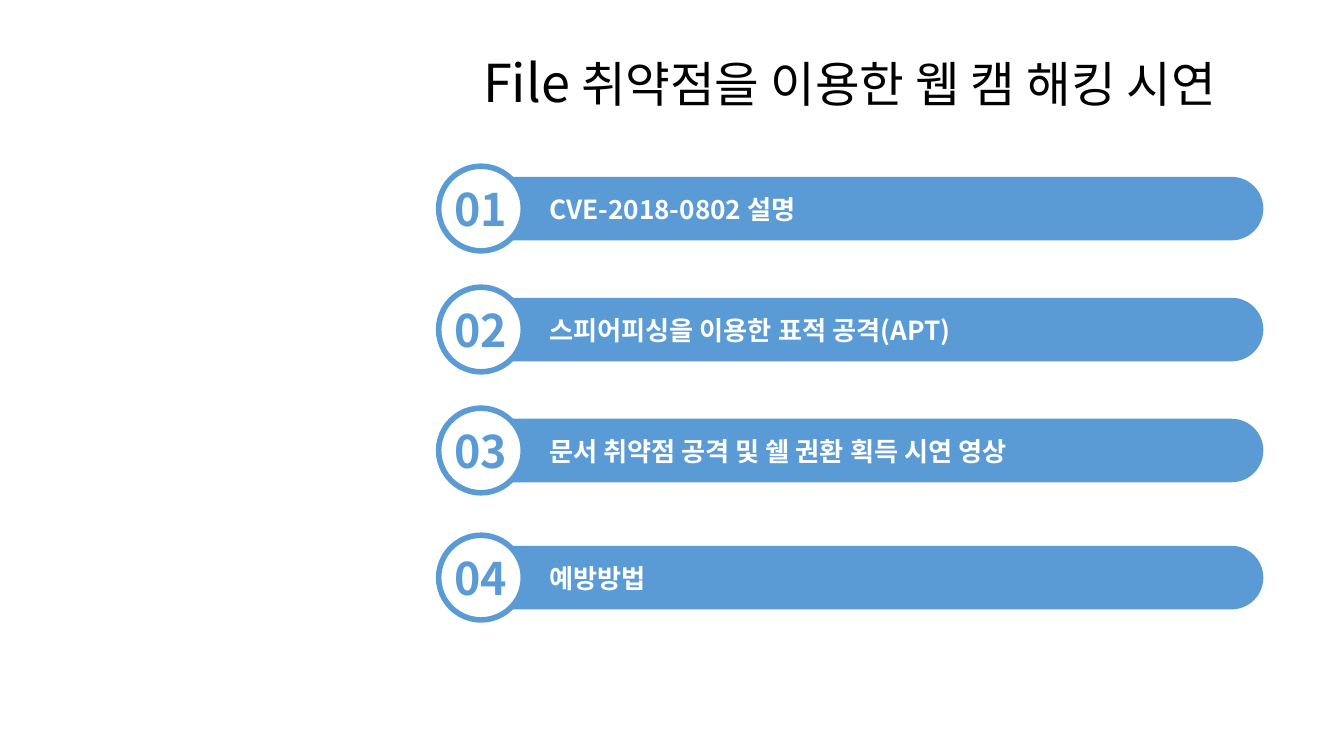
from lxml.etree import SubElement
from pptx import Presentation
from pptx.dml.color import RGBColor
from pptx.enum.shapes import MSO_SHAPE
from pptx.enum.text import MSO_ANCHOR, PP_ALIGN
from pptx.oxml.ns import qn
from pptx.util import Pt

theme = {
    "blue": RGBColor(0x5B, 0x9B, 0xD5),
    "white": RGBColor(0xFF, 0xFF, 0xFF),
    "black": RGBColor(0, 0, 0),
    "font": "Noto Sans CJK KR",
    "head": {"size": Pt(37.3), "bold": False},
    "title": {"size": Pt(34.7), "bold": False},
    "count": {"size": Pt(32), "bold": True},
    "label": {"size": Pt(18.7), "bold": True},
}


def add_text(shapes, box, parts, color, align, inset=3.6):
    frame = shapes.add_textbox(*map(Pt, box)).text_frame
    form = {"word_wrap": True, "vertical_anchor": MSO_ANCHOR.MIDDLE,
            "margin_top": Pt(inset), "margin_bottom": Pt(inset)}
    for key, value in form.items():
        setattr(frame, key, value)
    line = frame.paragraphs[0]
    line.alignment = align
    for text, style in parts:
        run = line.add_run()
        run.text = text
        for key, value in {"name": theme["font"], **theme[style]}.items():
            setattr(run.font, key, value)
        run.font.color.rgb = theme[color]
        SubElement(run._r.get_or_add_rPr(), qn("a:ea"), typeface=theme["font"])


def add_form(shapes, kind, box, color):
    form = shapes.add_shape(kind, *map(Pt, box))
    form.shadow.inherit = False
    form.fill.solid()
    form.fill.fore_color.rgb = theme[color]
    return form


deck = Presentation()
deck.slide_width, deck.slide_height = Pt(960), Pt(540)
slide = deck.slides.add_slide(deck.slide_layouts[6])

add_text(slide.shapes, (253.4, 28.1, 707, 60.5),
         [("File", "head"), (" 취약점을 이용한 웹 캠 해킹 시연", "title")],
         "black", PP_ALIGN.CENTER)

left, span, thick, disc = 343.6, 558.8, 45.4, 60.5
rows = [
    (149, "CVE-2018-0802 설명"),
    (235.4, "스피어피싱을 이용한 표적 공격(APT)"),
    (321.8, "문서 취약점 공격 및 쉘 권환 획득 시연 영상"),
    (412.6, "예방방법"),
]

for count, (mid, label) in enumerate(rows, 1):
    group = slide.shapes.add_group_shape().shapes

    bar = add_form(group, MSO_SHAPE.ROUND_2_SAME_RECTANGLE,
                   (left + (span - thick) / 2, mid - span / 2, thick, span), "blue")
    bar.rotation = 90
    bar.adjustments[0] = 0.5
    bar.line.fill.background()

    ring = add_form(group, MSO_SHAPE.OVAL,
                    (left - disc / 2, mid - disc / 2, disc, disc), "white")
    ring.line.color.rgb = theme["blue"]
    ring.line.width = Pt(4)

    add_text(group, (left - 29.9, mid - 19.5, 59.8, 39),
             [(f"{count:02}", "count")], "blue", PP_ALIGN.CENTER, 0)
    add_text(group, (385.2, mid - 15.1, 499, 30.2),
             [(label, "label")], "white", PP_ALIGN.LEFT)

deck.save("out.pptx")
